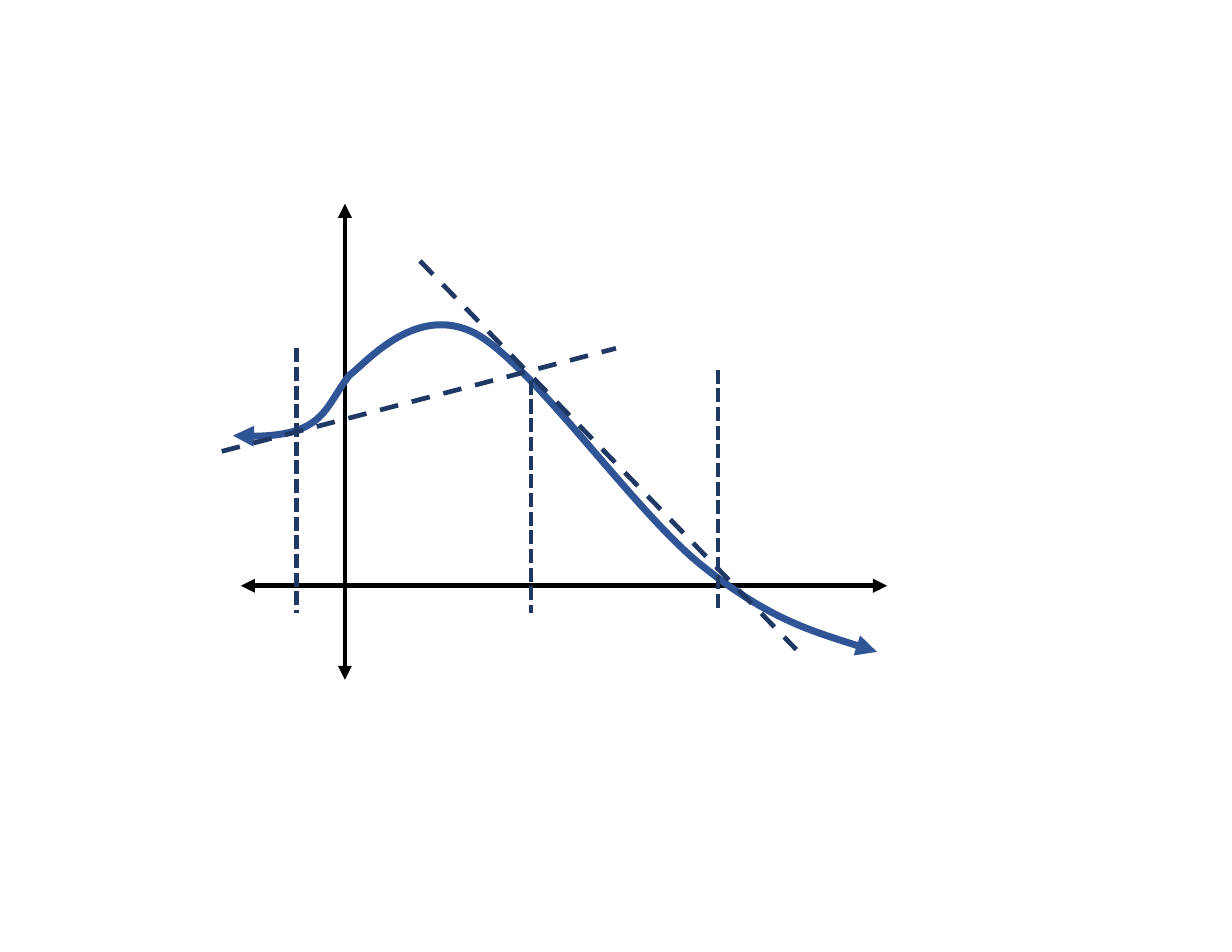
from dataclasses import dataclass

from lxml import etree
from pptx import Presentation
from pptx.dml.color import RGBColor
from pptx.enum.dml import MSO_LINE_DASH_STYLE
from pptx.enum.shapes import MSO_CONNECTOR_TYPE
from pptx.oxml.ns import qn
from pptx.util import Inches, Pt

STRAIGHT = MSO_CONNECTOR_TYPE.STRAIGHT
DASH = MSO_LINE_DASH_STYLE.DASH
SHORT_DASH = MSO_LINE_DASH_STYLE.SQUARE_DOT

COLORS = {"axis": "000000", "curve": "2F5597", "guide": "203864"}
Point = tuple[float, float]


@dataclass(frozen=True)
class Stroke:
    color: str
    width: float = 3
    dash: MSO_LINE_DASH_STYLE | None = None
    arrows: bool = False


@dataclass(frozen=True)
class Segment:
    start: Point
    end: Point
    stroke: Stroke


@dataclass(frozen=True)
class Curve:
    start: Point
    peak: Point
    beziers: tuple[tuple[Point, Point, Point], ...]
    stroke: Stroke


AXIS = Stroke("axis", arrows=True)
SECANT = Stroke("guide", dash=DASH)
VERTICAL = Stroke("guide", dash=SHORT_DASH)
GUIDE_BOTTOM = 5.47

AXES = (
    Segment((2.15, 5.23), (7.92, 5.23), AXIS),
    Segment((3.08, 1.82), (3.08, 6.07), AXIS),
)
FUNCTION = Curve(
    (2.08, 3.89),
    (3.93, 2.9),
    (
        ((2.9, 3.94), (2.9, 3.63), (3.12, 3.35)),
        ((3.28, 3.23), (3.72, 2.7), (4.25, 2.98)),
        ((4.77, 3.27), (5.68, 4.59), (6.28, 5.06)),
        ((6.87, 5.53), (7.36, 5.67), (7.83, 5.82)),
    ),
    Stroke("curve", 4.5, arrows=True),
)
GUIDES = (
    Segment((4.74, 3.4), (4.74, GUIDE_BOTTOM), VERTICAL),
    Segment((3.75, 2.33), (7.11, 5.8), SECANT),
    Segment((1.98, 4.03), (5.5, 3.11), SECANT),
    Segment((2.65, 3.11), (2.65, GUIDE_BOTTOM), VERTICAL),
    Segment((6.41, 3.3), (6.41, GUIDE_BOTTOM), VERTICAL),
)


def to_lengths(point: Point) -> tuple[int, int]:
    return Inches(point[0]), Inches(point[1])


def apply_stroke(line, stroke: Stroke) -> None:
    line.color.rgb = RGBColor.from_string(COLORS[stroke.color])
    line.width = Pt(stroke.width)
    if stroke.dash is not None:
        line.dash_style = stroke.dash
    if stroke.arrows:
        properties = line._get_or_add_ln()
        for end in ("a:headEnd", "a:tailEnd"):
            etree.SubElement(properties, qn(end), type="triangle")


def draw_segment(page, segment: Segment) -> None:
    connector = page.shapes.add_connector(
        STRAIGHT, *to_lengths(segment.start), *to_lengths(segment.end)
    )
    apply_stroke(connector.line, segment.stroke)
    etree.SubElement(connector._element.spPr, qn("a:effectLst"))


def draw_curve(page, curve: Curve) -> None:
    builder = page.shapes.build_freeform(*to_lengths(curve.start))
    builder.add_line_segments(
        [to_lengths(curve.peak), to_lengths(curve.beziers[-1][-1])], close=False
    )
    shape = builder.convert_to_shape()
    outline = next(shape._element.iter(qn("a:path")))
    for straight in outline.findall(qn("a:lnTo")):
        outline.remove(straight)
    for bezier in curve.beziers:
        cubic = etree.SubElement(outline, qn("a:cubicBezTo"))
        for point in bezier:
            x, y = to_lengths(point)
            etree.SubElement(
                cubic, qn("a:pt"), x=str(x - shape.left), y=str(y - shape.top)
            )
    shape.fill.background()
    shape.shadow.inherit = False
    apply_stroke(shape.line, curve.stroke)


def main() -> None:
    deck = Presentation()
    deck.slide_width = Inches(11)
    deck.slide_height = Inches(8.5)
    page = deck.slides.add_slide(deck.slide_layouts[6])
    for axis in AXES:
        draw_segment(page, axis)
    draw_curve(page, FUNCTION)
    for guide in GUIDES:
        draw_segment(page, guide)
    deck.save("out.pptx")


if __name__ == "__main__":
    main()
